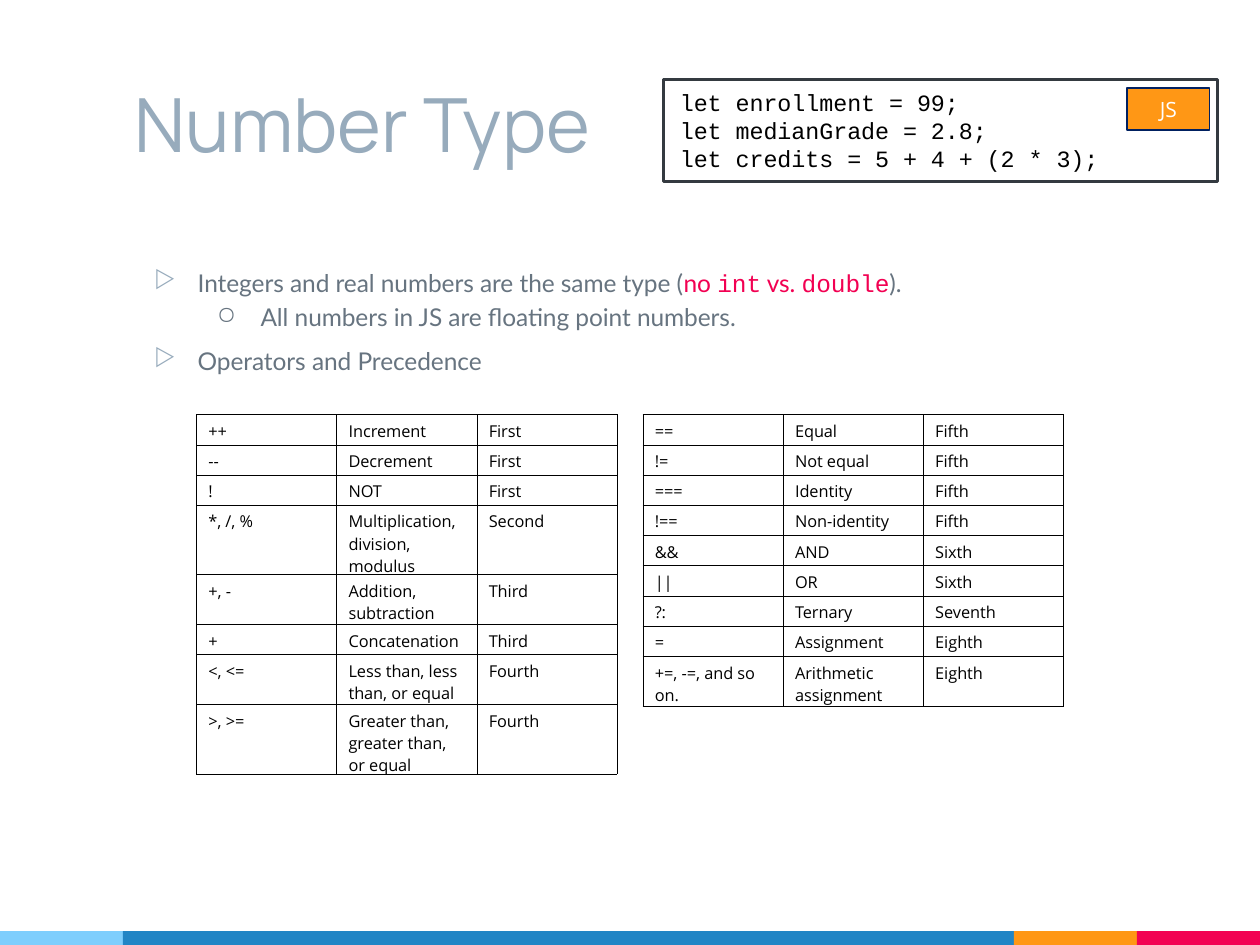
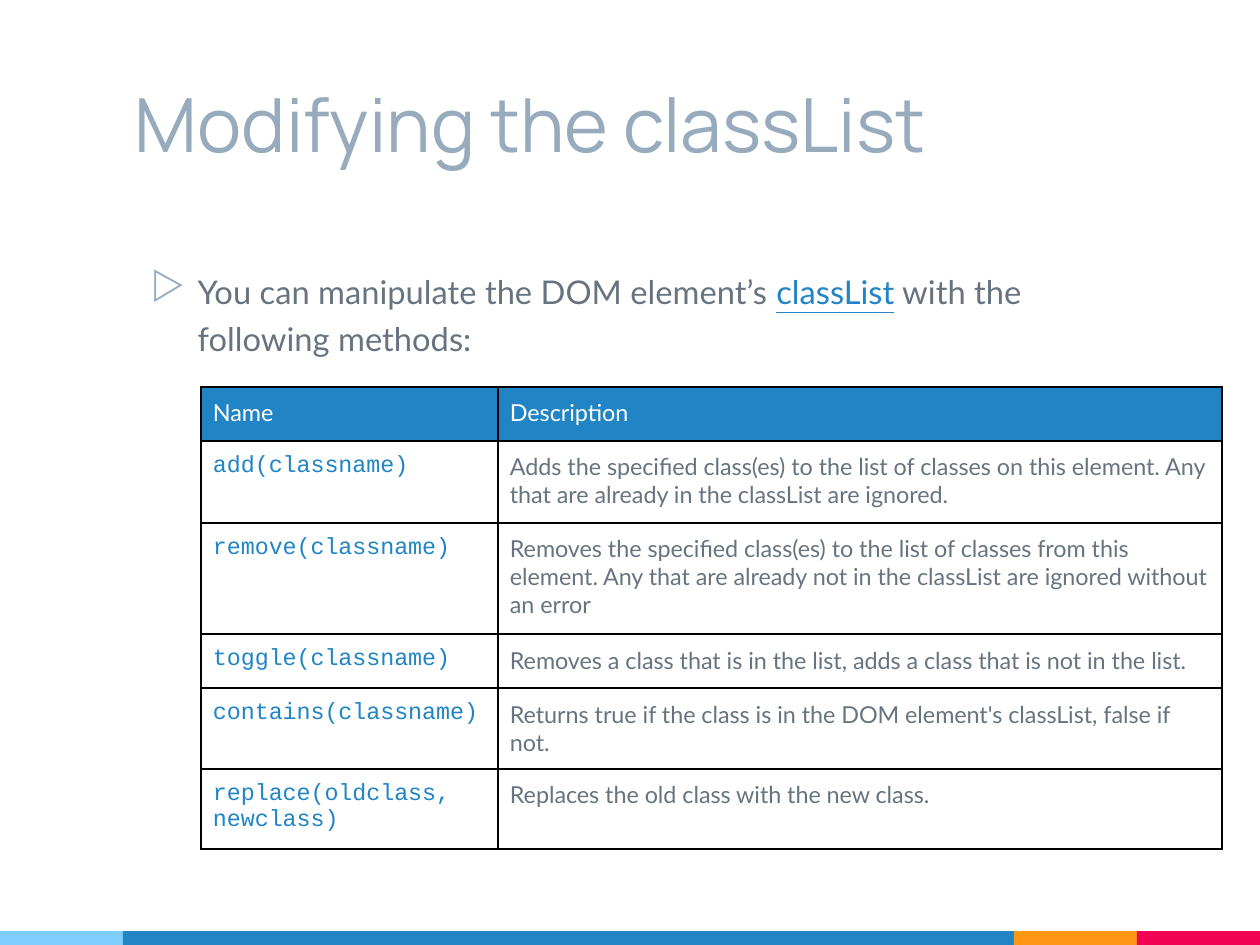
from dataclasses import dataclass
from typing import Optional

from lxml import etree
from pptx import Presentation
from pptx.dml.color import RGBColor
from pptx.enum.shapes import MSO_SHAPE
from pptx.enum.text import MSO_ANCHOR, PP_ALIGN
from pptx.oxml.ns import qn
from pptx.util import Cm, Pt

RECTANGLE = MSO_SHAPE.RECTANGLE
TOP, MIDDLE = MSO_ANCHOR.TOP, MSO_ANCHOR.MIDDLE
LEFT, CENTER = PP_ALIGN.LEFT, PP_ALIGN.CENTER

BLUE, LIGHT_BLUE, ORANGE, RED = "2185C5", "7ECEFD", "FF9715", "F20253"
TITLE_GRAY, TEXT_GRAY, HIGHLIGHT = "97ABBC", "677480", "F20052"
BLACK, WHITE, CODE_BORDER, BADGE_BORDER = "000000", "FFFFFF", "343A40", "002060"
TITLE_FONT, BODY_FONT, CODE_FONT, PLAIN_FONT = "Manrope", "Lato", "Courier New", "Open Sans"

SLIDE_WIDTH, SLIDE_HEIGHT = 19.05, 14.29
BAND_HEIGHT, NARROW_BAND = 0.21, 1.86
CONTENT_LEFT, CONTENT_WIDTH = 1.86, 15.8
INSET = 0.18


@dataclass(frozen=True)
class Style:
    size: float
    font: str
    color: str
    underline: bool = False


@dataclass(frozen=True)
class Box:
    """Position and size in centimetres."""
    left: float
    top: float
    width: float
    height: float

    def lengths(self) -> tuple:
        return Cm(self.left), Cm(self.top), Cm(self.width), Cm(self.height)


@dataclass(frozen=True)
class Bullet:
    runs: list[tuple[str, Style]]
    mark: str = "▷"
    mark_color: str = TITLE_GRAY
    mark_percent: int = 100
    level: int = 0
    margin: float = 0.95
    hanging: float = 0.66
    line_spacing: float = 1.15
    space_before: float = 4.5


@dataclass(frozen=True)
class TableLook:
    border_width: float
    inset_x: float
    inset_y: float
    fill: Optional[str] = None


TITLE = Style(32, TITLE_FONT, TITLE_GRAY)
BODY = Style(10.5, BODY_FONT, TEXT_GRAY)
BODY_RED = Style(10.5, BODY_FONT, HIGHLIGHT)
BODY_CODE = Style(10.5, CODE_FONT, HIGHLIGHT)
LARGE_BODY = Style(14, BODY_FONT, TEXT_GRAY)
LARGE_LINK = Style(14, BODY_FONT, BLUE, underline=True)
CODE = Style(10, CODE_FONT, BLACK)
BADGE = Style(9, PLAIN_FONT, WHITE)
OPERATOR = Style(7, PLAIN_FONT, BLACK)
HEADER = Style(10, BODY_FONT, WHITE)
METHOD = Style(10, CODE_FONT, BLUE)
DESCRIPTION = Style(10, BODY_FONT, TEXT_GRAY)

OPERATOR_LOOK = TableLook(0.38, INSET, 0.08, WHITE)
METHOD_LOOK = TableLook(1, INSET, INSET)

# Operator, meaning, precedence, lines of text in the row
HIGH_OPERATORS = [
    ("++", "Increment", "First", 1),
    ("--", "Decrement", "First", 1),
    ("!", "NOT", "First", 1),
    ("*, /, %", "Multiplication, division, modulus", "Second", 3),
    ("+, -", "Addition, subtraction", "Third", 2),
    ("+", "Concatenation", "Third", 1),
    ("<, <=", "Less than, less than, or equal", "Fourth", 2),
    (">, >=", "Greater than, greater than, or equal", "Fourth", 3),
]
LOW_OPERATORS = [
    ("==", "Equal", "Fifth", 1),
    ("!=", "Not equal", "Fifth", 1),
    ("===", "Identity", "Fifth", 1),
    ("!==", "Non-identity", "Fifth", 1),
    ("&&", "AND", "Sixth", 1),
    ("||", "OR", "Sixth", 1),
    ("?:", "Ternary", "Seventh", 1),
    ("=", "Assignment", "Eighth", 1),
    ("+=, -=, and so on.", "Arithmetic assignment", "Eighth", 2),
]
METHODS = [
    ("Name", "Description"),
    ("add(classname)", "Adds the specified class(es) to the list of classes on this element. "
     "Any that are already in the classList are ignored."),
    ("remove(classname)", "Removes the specified class(es) to the list of classes from this "
     "element. Any that are already not in the classList are ignored without an error"),
    ("toggle(classname)", "Removes a class that is in the list, adds a class that is not in the list."),
    ("contains(classname)", "Returns true if the class is in the DOM element's classList, false if not."),
    ("replace(oldclass, newclass)", "Replaces the old class with the new class."),
]
METHOD_ROW_HEIGHTS = [0.82, 1.24, 1.68, 0.82, 1.22, 1.19]


def color(value: str) -> RGBColor:
    return RGBColor.from_string(value)


def format_run(run, style: Style) -> None:
    run.font.size = Pt(style.size)
    run.font.name = style.font
    run.font.color.rgb = color(style.color)
    if style.underline:
        run.font.underline = True


def set_text(text_frame, text: str, style: Style, alignment=LEFT) -> None:
    text_frame.text = text
    for paragraph in text_frame.paragraphs:
        paragraph.alignment = alignment
        for run in paragraph.runs:
            format_run(run, style)


def add_rectangle(slide, box: Box, fill: Optional[str] = None,
                  line: Optional[str] = None, line_width: float = 0):
    shape = slide.shapes.add_shape(RECTANGLE, *box.lengths())
    shape.shadow.inherit = False
    if fill:
        shape.fill.solid()
        shape.fill.fore_color.rgb = color(fill)
    else:
        shape.fill.background()
    if line:
        shape.line.color.rgb = color(line)
        shape.line.width = Pt(line_width)
    else:
        shape.line.fill.background()
    shape.text_frame.vertical_anchor = MIDDLE
    return shape


def add_text_frame(slide, box: Box):
    text_frame = slide.shapes.add_textbox(*box.lengths()).text_frame
    text_frame.word_wrap = True
    text_frame.vertical_anchor = TOP
    text_frame.margin_left = text_frame.margin_right = Cm(INSET)
    text_frame.margin_top = text_frame.margin_bottom = Cm(INSET)
    return text_frame


def add_bullets(slide, bullets: list[Bullet]) -> None:
    text_frame = add_text_frame(slide, Box(CONTENT_LEFT, 3.81, CONTENT_WIDTH, 9.86))
    for index, bullet in enumerate(bullets):
        paragraph = text_frame.add_paragraph() if index else text_frame.paragraphs[0]
        paragraph.level = bullet.level
        paragraph.line_spacing = bullet.line_spacing
        paragraph.space_before = Pt(bullet.space_before)
        for text, style in bullet.runs:
            run = paragraph.add_run()
            run.text = text
            format_run(run, style)
        properties = paragraph._p.get_or_add_pPr()
        properties.set("marL", str(Cm(bullet.margin)))
        properties.set("indent", str(-Cm(bullet.hanging)))
        mark_color = etree.SubElement(properties, qn("a:buClr"))
        etree.SubElement(mark_color, qn("a:srgbClr"), val=bullet.mark_color)
        etree.SubElement(properties, qn("a:buSzPct"), val=str(bullet.mark_percent * 1000))
        etree.SubElement(properties, qn("a:buChar"), char=bullet.mark)


def set_borders(cell, width: float) -> None:
    properties = cell._tc.get_or_add_tcPr()
    for position, side in enumerate(("a:lnL", "a:lnR", "a:lnT", "a:lnB")):
        line = etree.Element(qn(side), w=str(Pt(width)))
        fill = etree.SubElement(line, qn("a:solidFill"))
        etree.SubElement(fill, qn("a:srgbClr"), val=BLACK)
        properties.insert(position, line)


def format_cell(cell, text: str, style: Style, look: TableLook, fill: Optional[str]) -> None:
    set_text(cell.text_frame, text, style)
    cell.margin_left = cell.margin_right = Cm(look.inset_x)
    cell.margin_top = cell.margin_bottom = Cm(look.inset_y)
    if fill:
        cell.fill.solid()
        cell.fill.fore_color.rgb = color(fill)
    else:
        cell.fill.background()
    set_borders(cell, look.border_width)


def add_table(slide, left: float, top: float, widths: list[float], heights: list[float]):
    box = Box(left, top, sum(widths), sum(heights))
    table = slide.shapes.add_table(len(heights), len(widths), *box.lengths()).table
    table.first_row = table.horz_banding = False
    for column, width in zip(table.columns, widths):
        column.width = Cm(width)
    for row, height in zip(table.rows, heights):
        row.height = Cm(height)
    return table


def add_operator_table(slide, left: float, operators: list[tuple]) -> None:
    heights = [0.13 + 0.26 * lines for *_, lines in operators]
    table = add_table(slide, left, 6.27, [2.12] * 3, heights)
    for row, (*texts, _) in zip(table.rows, operators):
        for cell, text in zip(row.cells, texts):
            format_cell(cell, text, OPERATOR, OPERATOR_LOOK, OPERATOR_LOOK.fill)


def add_method_table(slide) -> None:
    table = add_table(slide, 3.04, 5.85, [4.49, 10.95], METHOD_ROW_HEIGHTS)
    for index, (row, texts) in enumerate(zip(table.rows, METHODS)):
        styles = (METHOD, DESCRIPTION) if index else (HEADER, HEADER)
        fill = METHOD_LOOK.fill if index else BLUE
        for cell, text, style in zip(row.cells, texts, styles):
            format_cell(cell, text, style, METHOD_LOOK, fill)


def add_slide(presentation, title: str):
    """Add a blank slide with the shared colour band and title."""
    slide = presentation.slides.add_slide(presentation.slide_layouts[6])
    wide_band = SLIDE_WIDTH - 3 * NARROW_BAND
    left = 0
    for fill, width in ((LIGHT_BLUE, NARROW_BAND), (BLUE, wide_band),
                        (ORANGE, NARROW_BAND), (RED, NARROW_BAND)):
        add_rectangle(slide, Box(left, SLIDE_HEIGHT - BAND_HEIGHT, width, BAND_HEIGHT), fill)
        left += width
    title_frame = add_text_frame(slide, Box(CONTENT_LEFT, 1, CONTENT_WIDTH, 2.39))
    set_text(title_frame, title, TITLE)
    return slide


def build_number_slide(presentation) -> None:
    slide = add_slide(presentation, "Number Type")
    add_bullets(slide, [
        Bullet([("Integers and real numbers are the same type (", BODY), ("no ", BODY_RED),
                ("int", BODY_CODE), (" vs. ", BODY_RED), ("double", BODY_CODE), (").", BODY)]),
        Bullet([("All numbers in JS are floating point numbers.", BODY)], mark="○",
               mark_color=TEXT_GRAY, level=1, margin=1.9, space_before=0),
        Bullet([("Operators and Precedence", BODY)]),
    ])
    add_operator_table(slide, 9.72, LOW_OPERATORS)
    add_operator_table(slide, 2.97, HIGH_OPERATORS)
    code = add_rectangle(slide, Box(10.03, 1.2, 8.38, 1.55), line=CODE_BORDER, line_width=1.5)
    set_text(code.text_frame, "let enrollment = 99;\nlet medianGrade = 2.8;\n"
             "let credits = 5 + 4 + (2 * 3);", CODE)
    badge = add_rectangle(slide, Box(17.04, 1.33, 1.25, 0.64), ORANGE, BADGE_BORDER, 0.75)
    set_text(badge.text_frame, "JS", BADGE, CENTER)


def build_class_list_slide(presentation) -> None:
    slide = add_slide(presentation, "Modifying the classList")
    add_bullets(slide, [
        Bullet([("You can manipulate the DOM element’s ", LARGE_BODY), ("classList", LARGE_LINK),
                (" with the following methods:", LARGE_BODY)],
               mark_percent=120, hanging=0.71, line_spacing=1.2),
    ])
    add_method_table(slide)


def main() -> None:
    presentation = Presentation()
    presentation.slide_width = Cm(SLIDE_WIDTH)
    presentation.slide_height = Cm(SLIDE_HEIGHT)
    build_number_slide(presentation)
    build_class_list_slide(presentation)
    presentation.save("out.pptx")


if __name__ == "__main__":
    main()
